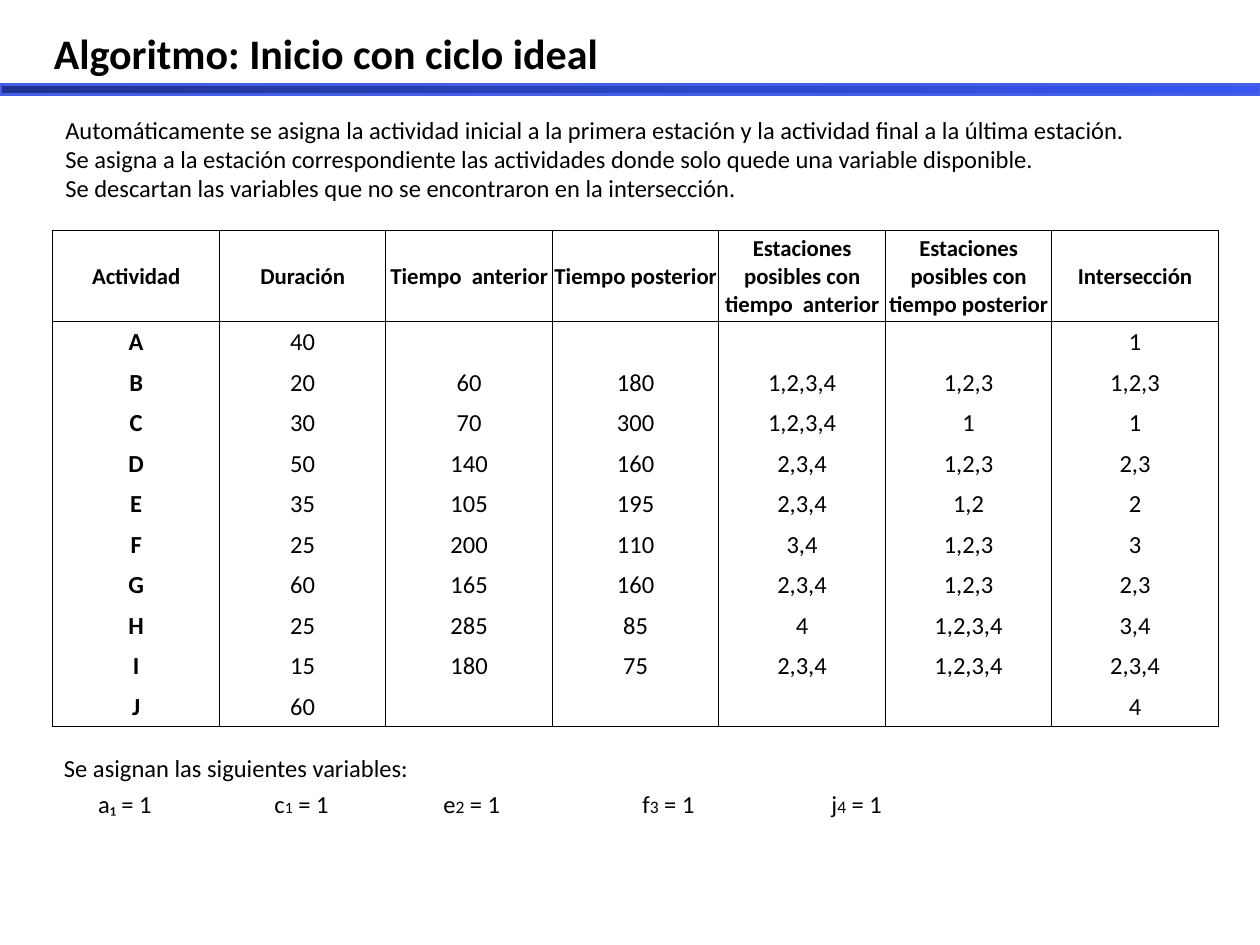
import copy

import lxml.etree
import pptx
import pptx.dml.color
import pptx.enum.shapes
import pptx.enum.text
import pptx.oxml.ns
import pptx.util

Inches = pptx.util.Inches
Pt = pptx.util.Pt
qn = pptx.oxml.ns.qn
ALIGN = pptx.enum.text.PP_ALIGN
ANCHOR = pptx.enum.text.MSO_ANCHOR

FONT = "Calibri"
BLACK = "000000"
BORDER_WIDTH = 0.75

HEADINGS = [
    "Actividad", "Duración", "Tiempo  anterior", "Tiempo posterior",
    "Estaciones posibles con tiempo  anterior",
    "Estaciones posibles con tiempo posterior", "Intersección",
]
ACTIVITIES = [
    ["A", "40", "", "", "", "", "1"],
    ["B", "20", "60", "180", "1,2,3,4", "1,2,3", "1,2,3"],
    ["C", "30", "70", "300", "1,2,3,4", "1", "1"],
    ["D", "50", "140", "160", "2,3,4", "1,2,3", "2,3"],
    ["E", "35", "105", "195", "2,3,4", "1,2", "2"],
    ["F", "25", "200", "110", "3,4", "1,2,3", "3"],
    ["G", "60", "165", "160", "2,3,4", "1,2,3", "2,3"],
    ["H", "25", "285", "85", "4", "1,2,3,4", "3,4"],
    ["I", "15", "180", "75", "2,3,4", "1,2,3,4", "2,3,4"],
    ["J", "60", "", "", "", "", "4"],
]
RULES = [
    "Automáticamente se asigna la actividad inicial a la primera estación y la actividad final a la última estación.",
    "Se asigna a la estación correspondiente las actividades donde solo quede una variable disponible.",
    "Se descartan las variables que no se encontraron en la intersección.",
]
ASSIGNMENTS = [
    (0.27, [("a₁ = 1", 14)]),
    (1.67, [("c", 14), ("1", 9), (" = 1", 14)]),
    (3.01, [("e", 14), ("2", 10), (" = 1", 14)]),
    (4.59, [("f", 14), ("3", 10), (" = 1", 14)]),
    (6.09, [("j", 14), ("4", 10), (" = 1", 14)]),
]


def rgb(value):
    return pptx.dml.color.RGBColor.from_string(value)


def add_run(paragraph, text, size=14, bold=False, color=BLACK, align=ALIGN.LEFT):
    paragraph.alignment = align
    run = paragraph.add_run()
    run.text = text
    run.font.name = FONT
    run.font.size = Pt(size)
    run.font.bold = bold
    run.font.color.rgb = rgb(color)


def add_text(slide, box, lines, **style):
    frame = slide.shapes.add_textbox(*map(Inches, box)).text_frame
    frame.word_wrap = True
    for index, runs in enumerate(lines):
        paragraph = frame.add_paragraph() if index else frame.paragraphs[0]
        for text, size in runs:
            add_run(paragraph, text, size=size, **style)


def add_header(slide, left, top, width):
    add_text(slide, (left + 0.33, top, 8.92, 0.5),
             [[("Algoritmo: Inicio con ciclo ideal ", 24)]], bold=True, align=ALIGN.JUSTIFY)
    bar = slide.shapes.add_shape(
        pptx.enum.shapes.MSO_SHAPE.RECTANGLE,
        Inches(left), Inches(top + 0.5), Inches(width), Inches(0.08))
    bar.shadow.inherit = False
    bar.fill.gradient()
    bar.fill.gradient_angle = 0
    stops = bar.element.spPr.find(qn("a:gradFill")).find(qn("a:gsLst"))
    stops.insert(1, copy.deepcopy(stops[0]))
    gradient = [(0, "1F3291"), (0.59, "2D48CA"), (1, "3756F2")]
    for stop, (position, color) in zip(bar.fill.gradient_stops, gradient):
        stop.position = position
        stop.color.rgb = rgb(color)
    bar.line.color.rgb = rgb("445FE6")
    bar.line.width = Pt(2)


def set_borders(cell, visible):
    properties = cell._tc.get_or_add_tcPr()
    for side in "LRTB":
        border = lxml.etree.SubElement(properties, qn(f"a:ln{side}"))
        if side in visible:
            border.set("w", str(Pt(BORDER_WIDTH)))
            fill = lxml.etree.SubElement(border, qn("a:solidFill"))
            lxml.etree.SubElement(fill, qn("a:srgbClr")).set("val", BLACK)
        else:
            lxml.etree.SubElement(border, qn("a:noFill"))


def add_activity_table(slide, left, top, width, height, heading_height=0.72):
    rows = [HEADINGS] + ACTIVITIES
    table = slide.shapes.add_table(
        len(rows), len(HEADINGS), Inches(left), Inches(top), Inches(width), Inches(height)).table
    table.first_row = False
    table.horz_banding = False
    for column in table.columns:
        column.width = Inches(width / len(HEADINGS))
    activity_height = (height - heading_height) / len(ACTIVITIES)
    for r, values in enumerate(rows):
        heading = r == 0
        table.rows[r].height = Inches(activity_height if r else heading_height)
        visible = "LR" + ("T" if r < 2 else "") + ("B" if r in (0, len(rows) - 1) else "")
        for c, value in enumerate(values):
            cell = table.cell(r, c)
            cell.margin_left = cell.margin_right = cell.margin_top = Inches(0.01)
            cell.margin_bottom = 0
            cell.vertical_anchor = ANCHOR.MIDDLE
            set_borders(cell, visible)
            cell.fill.background()
            if value:
                add_run(cell.text_frame.paragraphs[0], value, size=13 if heading else 14,
                        bold=heading or c == 0, align=ALIGN.CENTER)


def add_assignments(slide, left, top, width):
    add_text(slide, (left, top, width, 0.4),
             [[("Se asignan las siguientes variables:", 14), (" ", 18)]])
    for offset, runs in ASSIGNMENTS:
        add_text(slide, (left + offset, top + 0.34, 0.98, 0.34), [runs])


def main():
    presentation = pptx.Presentation()
    presentation.slide_width = Inches(10)
    presentation.slide_height = Inches(7.5)
    slide = presentation.slides.add_slide(presentation.slide_layouts[6])
    add_header(slide, 0, 0.17, 10)
    add_text(slide, (0.42, 0.86, 9.08, 0.81), [[(rule, 14)] for rule in RULES])
    add_activity_table(slide, 0.42, 1.83, 9.25, 3.94)
    add_assignments(slide, 0.41, 5.87, 7.43)
    presentation.save("out.pptx")


if __name__ == "__main__":
    main()
